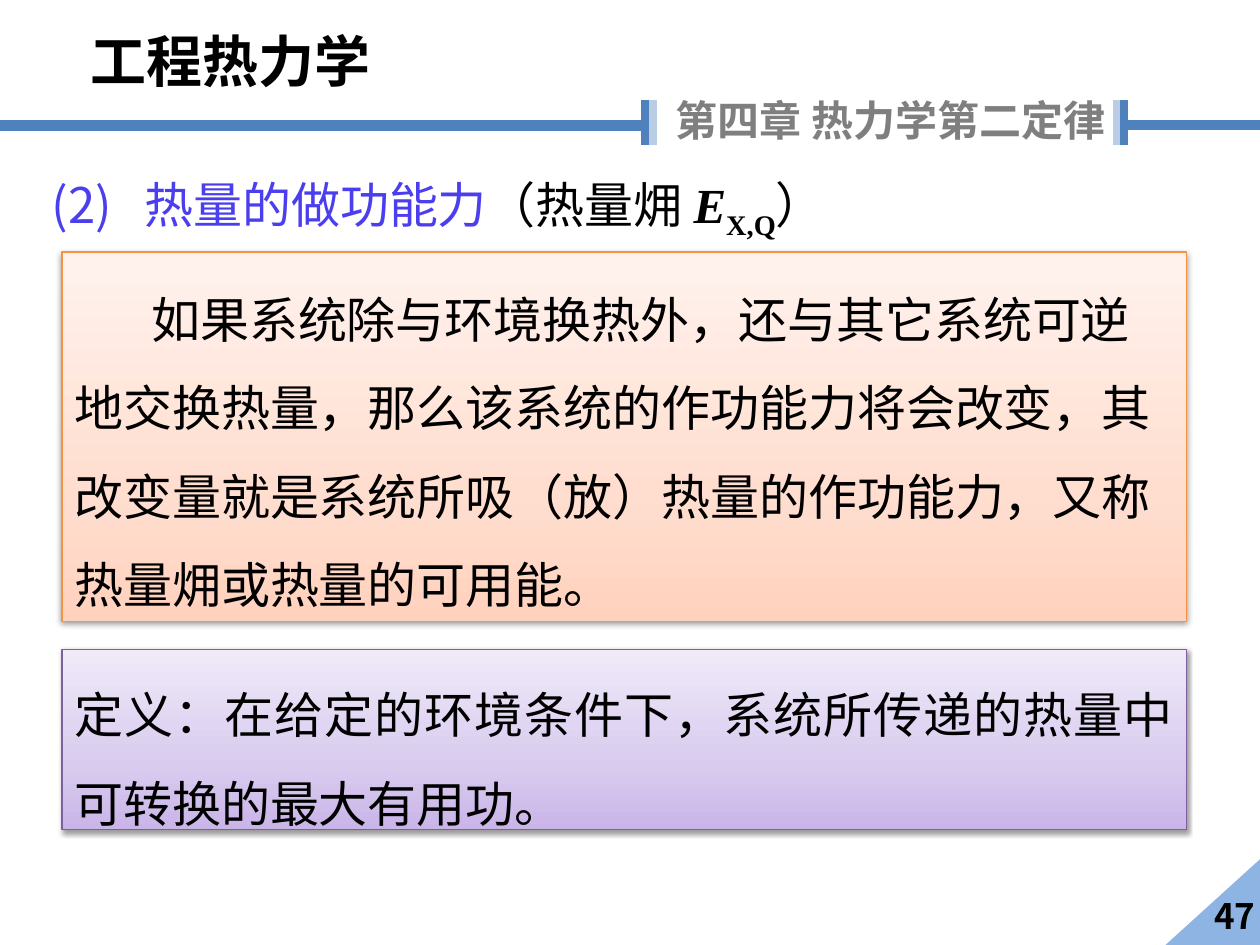
from copy import deepcopy
from lxml.etree import SubElement as Sub
from pptx import Presentation
from pptx.dml.color import RGBColor as RGB
from pptx.enum.shapes import MSO_CONNECTOR as LINE, MSO_SHAPE as SHAPE
from pptx.enum.text import MSO_ANCHOR as ANCHOR, PP_ALIGN as ALIGN
from pptx.oxml.ns import qn
from pptx.util import Pt

SANS = "Noto Sans CJK SC"
SERIF = "Times New Roman"
BLACK = RGB(0, 0, 0)
GRAY = RGB(0x7F, 0x7F, 0x7F)
BLUE = RGB(0x4F, 0x81, 0xBD)
PALE = RGB(0xB9, 0xCD, 0xE5)
SKY = RGB(0x8E, 0xB4, 0xE3)
INDIGO = RGB(0x4B, 0x3E, 0xEE)
ORANGE = RGB(0xF6, 0x92, 0x40)
PEACH = [RGB(0xFF, 0xD2, 0xBD), RGB(0xFF, 0xDE, 0xD0), RGB(0xFF, 0xF2, 0xED)]
PURPLE = RGB(0x7D, 0x60, 0xA0)
LILAC = [RGB(0xC9, 0xB5, 0xE8), RGB(0xD8, 0xCB, 0xEE), RGB(0xF0, 0xEA, 0xF9)]


def style(font, props, size, color, bold=False, face=SANS):
    font.size, font.bold, font.name = Pt(size), bold, face
    font.color.rgb = color
    Sub(props(), qn("a:ea"), typeface=face)


def write(shape, text, size, color, bold=False, align=ALIGN.LEFT, anchor=ANCHOR.TOP):
    frame = shape.text_frame
    frame.word_wrap = True
    frame.vertical_anchor = anchor
    para = frame.paragraphs[0]
    para.text = text
    para.alignment = align
    style(para.font, lambda: para._p.pPr.find(qn("a:defRPr")), size, color, bold)
    return para


prs = Presentation()
prs.slide_width, prs.slide_height = Pt(720), Pt(540)
slide = prs.slides.add_slide(prs.slide_layouts[5])
shapes = slide.shapes

# Page corner
corner = shapes.add_shape(SHAPE.ISOSCELES_TRIANGLE, Pt(666), Pt(491), Pt(108), Pt(49))
corner.shadow.inherit = False
corner.fill.solid()
corner.fill.fore_color.rgb = SKY
corner.line.fill.background()

# Header rules and their end bars
for x1, y1, x2, y2, color, width in [
    (642.5, 71.3, 720, 71.3, BLUE, 6),
    (368.5, 57, 368.5, 82.8, BLUE, 4.5),
    (642.5, 57, 642.5, 82.8, BLUE, 4.5),
    (373, 57, 373, 82.8, PALE, 4.5),
    (638, 57, 638, 82.8, PALE, 4.5),
    (0, 71.6, 370, 71.6, BLUE, 6),
]:
    rule = shapes.add_connector(LINE.STRAIGHT, Pt(x1), Pt(y1), Pt(x2), Pt(y2))
    rule.line.color.rgb = color
    rule.line.width = Pt(width)
    Sub(rule._element.spPr, qn("a:effectLst"))

# Course, chapter and page number
for x, y, w, h, text, size, color, align, anchor in [
    (376.5, 50.4, 264.5, 36, "第四章 热力学第二定律", 24, GRAY, ALIGN.CENTER, ANCHOR.TOP),
    (44.6, 11.5, 213, 46, "工程热力学", 32, BLACK, ALIGN.LEFT, ANCHOR.TOP),
    (626.4, 506, 158.4, 34, "47", 20, BLACK, ALIGN.CENTER, ANCHOR.MIDDLE),
]:
    label = shapes.add_textbox(Pt(x), Pt(y), Pt(w), Pt(h))
    write(label, text, size, color, True, align, anchor)

# Heading
title = shapes.title
title.left, title.top, title.width, title.height = Pt(22.3), Pt(88.5), Pt(630), Pt(44.6)
title.text_frame.word_wrap = True
title.text_frame.vertical_anchor = ANCHOR.TOP
head = title.text_frame.paragraphs[0]
head.alignment = ALIGN.JUSTIFY
head.line_spacing = 1.2
tabs = Sub(head._p.get_or_add_pPr(), qn("a:tabLst"))
Sub(tabs, qn("a:tab"), pos=str(Pt(53)), algn="l")
for text, color, face, italic, base in [
    ("(2)\t热量的做功能力", INDIGO, SANS, False, 0),
    ("（热量㶲 ", BLACK, SANS, False, 0),
    ("E", BLACK, SERIF, True, 0),
    ("X,Q", BLACK, SERIF, False, -25000),
    ("）", BLACK, SANS, False, 0),
]:
    run = head.add_run()
    run.text = text
    style(run.font, run._r.get_or_add_rPr, 28, color, face == SERIF, face)
    run.font.italic = italic
    if base:
        run._r.rPr.set("baseline", str(base))

# Statement and definition panels
for y, h, text, edge, fade, align, anchor, indent in [
    (144, 211, "如果系统除与环境换热外，还与其它系统可逆地交换热量，那么该系统的作功能力将会改变，"
     "其改变量就是系统所吸（放）热量的作功能力，又称热量㶲或热量的可用能。",
     ORANGE, PEACH, ALIGN.LEFT, ANCHOR.MIDDLE, 44),
    (371, 103, "定义：在给定的环境条件下，系统所传递的热量中可转换的最大有用功。",
     PURPLE, LILAC, ALIGN.JUSTIFY, ANCHOR.TOP, 0),
]:
    panel = shapes.add_shape(SHAPE.RECTANGLE, Pt(35.4), Pt(y), Pt(642.5), Pt(h))
    panel.fill.gradient()
    panel.fill.gradient_angle = 90
    props = panel._element.spPr
    stops = props.find(".//" + qn("a:gsLst"))
    stops.insert(1, deepcopy(stops[0]))
    for stop, color, place in zip(panel.fill.gradient_stops, fade, (0, 0.35, 1)):
        stop.color.rgb = color
        stop.position = place
    panel.line.color.rgb = edge
    panel.line.width = Pt(0.75)
    panel.shadow.inherit = False
    shade = Sub(props.find(qn("a:effectLst")), qn("a:outerShdw"), blurRad=str(Pt(3.1)),
                dist=str(Pt(1.6)), dir="5400000", rotWithShape="0")
    Sub(Sub(shade, qn("a:srgbClr"), val="000000"), qn("a:alpha"), val="38000")
    para = write(panel, text, 28, BLACK, False, align, anchor)
    para.line_spacing = 1.5
    para._p.pPr.set("indent", str(Pt(indent)))

prs.save("out.pptx")
